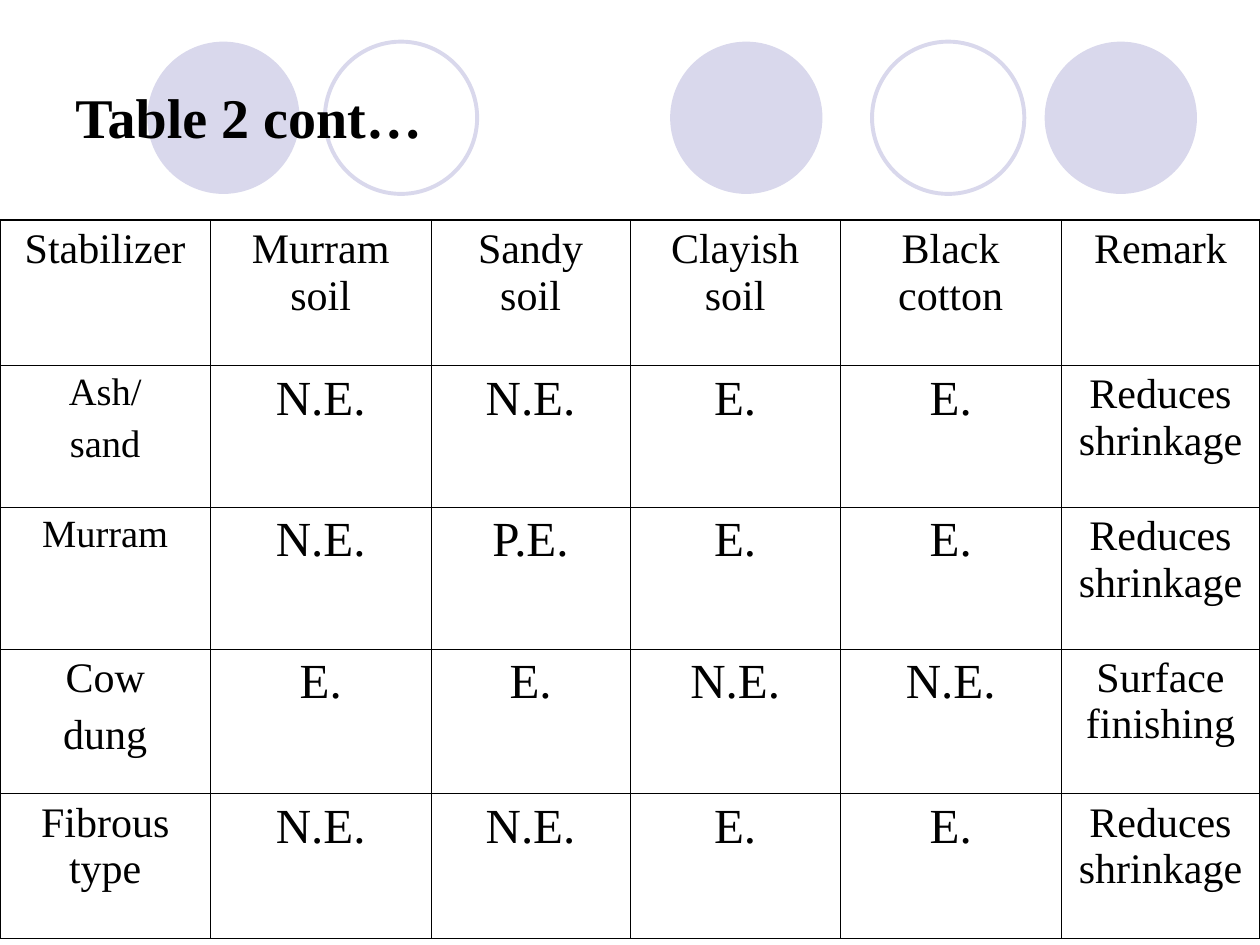
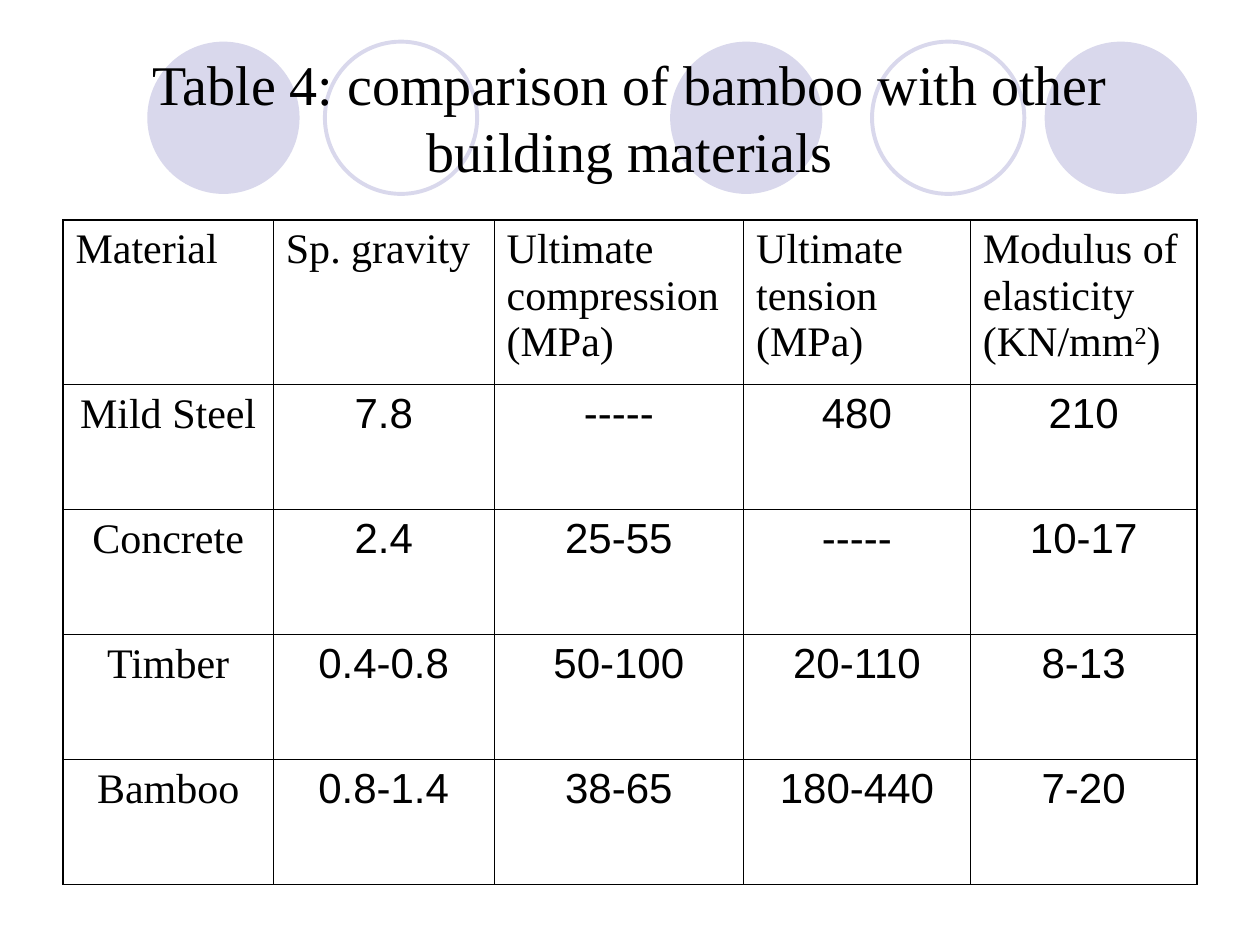
from dataclasses import dataclass

from lxml import etree
from pptx import Presentation
from pptx.dml.color import RGBColor
from pptx.enum.shapes import MSO_SHAPE
from pptx.enum.text import MSO_ANCHOR, PP_ALIGN
from pptx.oxml.ns import qn
from pptx.util import Cm, Pt

OVAL = MSO_SHAPE.OVAL
MIDDLE = MSO_ANCHOR.MIDDLE
LEFT, CENTER = PP_ALIGN.LEFT, PP_ALIGN.CENTER


@dataclass(frozen=True)
class Theme:
    ink: str = "000000"
    pale: str = "D9D8EC"
    serif: str = "Times New Roman"
    sans: str = "Arial"
    title: int = 32
    code: int = 28
    body: int = 24
    small: int = 22
    ring: float = 2.25
    edge: float = 1.08
    grid: float = 0.45


class Deck:
    # Left edge of each circle in cm, and whether it is filled
    CIRCLES = ((2.97, True), (6.55, False), (13.51, True),
               (17.58, False), (21.06, True))

    def __init__(self, theme):
        self.theme = theme
        self.prs = Presentation()
        self.prs.slide_width, self.prs.slide_height = Cm(25.4), Cm(19.05)
        self.slide = None

    def page(self, title, align=LEFT, bold=False):
        """Start a slide with the circle band and its title."""
        self.slide = self.prs.slides.add_slide(self.prs.slide_layouts[6])
        for left, solid in self.CIRCLES:
            self.circle(left, solid)
        box = self.slide.shapes.add_textbox(
            Cm(1.27), Cm(0.76), Cm(22.86), Cm(3.18))
        frame = box.text_frame
        frame.word_wrap = True
        frame.vertical_anchor = MIDDLE
        self.text(frame, title, self.theme.title, self.theme.serif, align, bold)

    def circle(self, left, solid):
        shape = self.slide.shapes.add_shape(
            OVAL, Cm(left), Cm(0.84), Cm(3.07), Cm(3.07))
        shape.shadow.inherit = False
        pale = RGBColor.from_string(self.theme.pale)
        if solid:
            shape.fill.solid()
            shape.fill.fore_color.rgb = pale
            shape.line.fill.background()
        else:
            shape.fill.background()
            shape.line.color.rgb = pale
            shape.line.width = Pt(self.theme.ring)

    def text(self, frame, words, size, face, align, bold=False):
        """Fill a frame: one paragraph per line, ^marks^ raise text."""
        for i, line in enumerate(words.split("\n")):
            para = frame.add_paragraph() if i else frame.paragraphs[0]
            para.alignment = align
            para.space_before = Pt(size / 4 if i else 0)
            font = para.font
            font.size, font.name, font.bold = Pt(size), face, bold
            font.color.rgb = RGBColor.from_string(self.theme.ink)
            for j, part in enumerate(line.split("^")):
                run = para.add_run()
                run.text = part
                if j % 2:
                    run.font._element.set("baseline", "30000")

    def border(self, cell, widths):
        props = cell._tc.get_or_add_tcPr()
        for side, width in zip("LRTB", widths):
            line = etree.SubElement(props, qn(f"a:ln{side}"), w=str(Pt(width)))
            fill = etree.SubElement(line, qn("a:solidFill"))
            etree.SubElement(fill, qn("a:srgbClr"), val=self.theme.ink)

    def table(self, left, cols, rows, data, look):
        """Draw a ruled table; look(row, col) gives size, face, align."""
        theme = self.theme
        grid = self.slide.shapes.add_table(
            len(rows), len(cols), Cm(left), Cm(4.44),
            Cm(sum(cols)), Cm(sum(rows))).table
        grid.first_row = grid.horz_banding = False
        for col, width in zip(grid.columns, cols):
            col.width = Cm(width)
        for row, height in zip(grid.rows, rows):
            row.height = Cm(height)
        for r, line in enumerate(data):
            for c, words in enumerate(line):
                cell = grid.cell(r, c)
                outer = (c == 0, c == len(cols) - 1,
                         r == 0, r == len(rows) - 1)
                self.border(cell, [theme.edge if out else theme.grid
                                   for out in outer])
                cell.fill.background()
                self.text(cell.text_frame, words, *look(r, c))


def soils(deck):
    theme = deck.theme

    def look(row, col):
        size = theme.body
        if row and 0 < col < 5:
            size = theme.code
        elif row in (1, 2) and col == 0:
            size = theme.small
        return size, theme.serif, CENTER

    deck.page("Table 2 cont…", bold=True)
    deck.table(0, [4.24, 4.45, 4.01] * 2, [2.92, 2.86, 2.86, 2.92, 2.92], [
        ["Stabilizer", "Murram soil", "Sandy soil", "Clayish soil",
         "Black cotton", "Remark"],
        ["Ash/\nsand", "N.E.", "N.E.", "E.", "E.", "Reduces shrinkage"],
        ["Murram", "N.E.", "P.E.", "E.", "E.", "Reduces shrinkage"],
        ["Cow\ndung", "E.", "E.", "N.E.", "N.E.", "Surface finishing"],
        ["Fibrous type", "N.E.", "N.E.", "E.", "E.", "Reduces shrinkage"],
    ], look)


def bamboo(deck):
    theme = deck.theme

    def look(row, col):
        face = theme.sans if row and col else theme.serif
        return theme.body, face, CENTER if row else LEFT

    deck.page("Table 4: comparison of bamboo with other building materials",
              CENTER)
    deck.table(1.27, [4.24, 4.45, 5.03, 4.57, 4.57], [3.31] + [2.52] * 4, [
        ["Material", "Sp. gravity", "Ultimate compression (MPa)",
         "Ultimate tension (MPa)", "Modulus of elasticity (KN/mm^2^)"],
        ["Mild Steel", "7.8", "-----", "480", "210"],
        ["Concrete", "2.4", "25-55", "-----", "10-17"],
        ["Timber", "0.4-0.8", "50-100", "20-110", "8-13"],
        ["Bamboo", "0.8-1.4", "38-65", "180-440", "7-20"],
    ], look)


def main():
    deck = Deck(Theme())
    soils(deck)
    bamboo(deck)
    deck.prs.save("out.pptx")


if __name__ == "__main__":
    main()
